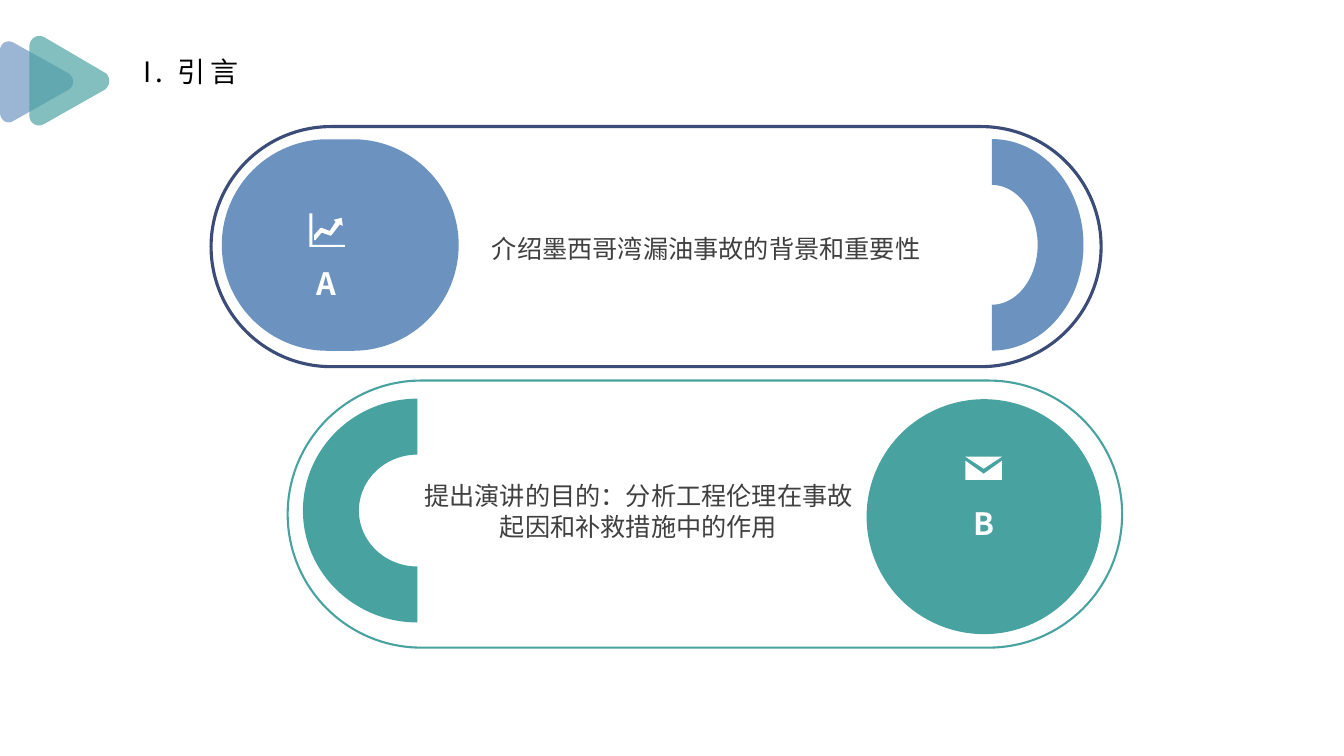
"""Build the introduction slide with two facing capsule panels."""
import pptx
import pptx.dml.color
import pptx.enum.shapes
import pptx.enum.text
import pptx.oxml
import pptx.oxml.ns
import pptx.util

Cm = pptx.util.Cm
Pt = pptx.util.Pt
RGBColor = pptx.dml.color.RGBColor
MSO_SHAPE = pptx.enum.shapes.MSO_SHAPE
PP_ALIGN = pptx.enum.text.PP_ALIGN

BLUE = RGBColor(0x6C, 0x92, 0xC0)
NAVY = RGBColor(0x3C, 0x4C, 0x79)
TEAL = RGBColor(0x48, 0xA2, 0xA0)
WHITE = RGBColor(0xFF, 0xFF, 0xFF)
GREY = RGBColor(0x40, 0x40, 0x40)
BLACK = RGBColor(0, 0, 0)

BACK_TRIANGLE = [(1.73, 1.85), (0.33, 1.07), (0.18, 0.99, 0, 1.09, 0, 1.27), (0, 2.84),
                 (0, 3.02, 0.18, 3.15, 0.33, 3.05), (1.73, 2.26),
                 (1.88, 2.16, 1.88, 1.96, 1.73, 1.85)]
FRONT_TRIANGLE = [(2.64, 1.83), (1.12, 0.94), (0.94, 0.84, 0.74, 0.97, 0.74, 1.17), (0.74, 2.92),
                  (0.74, 3.1, 0.94, 3.23, 1.12, 3.12), (2.64, 2.26),
                  (2.79, 2.16, 2.79, 1.91, 2.64, 1.83)]
CHART_ARROW = [(8.61, 5.49), (8.64, 5.69), (8.56, 5.66), (8.36, 5.92), (8.33, 5.94), (8.13, 5.87),
               (8.1, 5.87), (7.95, 6.05), (7.92, 6.05), (7.92, 5.92), (8.08, 5.74), (8.1, 5.74),
               (8.31, 5.82), (8.33, 5.79), (8.46, 5.59), (8.41, 5.54)]
CHART_AXES = [(7.8, 5.38), (7.87, 5.38), (7.87, 6.17), (8.69, 6.17), (8.69, 6.22), (7.8, 6.22)]
ENVELOPE_BODY = [(25.25, 11.61), (25.25, 12.09), (24.33, 12.09), (24.33, 11.61), (24.79, 11.94)]
ENVELOPE_FLAP = [(24.33, 11.51), (25.25, 11.51), (24.79, 11.81)]


def flatten(outline):
    """Turn points and cubic curves given in centimetres into a list of points."""
    points = []
    for part in outline:
        if len(part) == 2:
            points.append((Cm(part[0]), Cm(part[1])))
            continue
        x0, y0 = points[-1]
        x1, y1, x2, y2, x3, y3 = (Cm(v) for v in part)
        for t in (i / 8 for i in range(1, 9)):
            u = 1 - t
            a, b, c, d = u ** 3, 3 * u * u * t, 3 * u * t * t, t ** 3
            points.append((round(a * x0 + b * x1 + c * x2 + d * x3),
                           round(a * y0 + b * y1 + c * y2 + d * y3)))
    return points


class SlideBuilder:
    """Hold the style and the current slide."""

    font = "Noto Sans CJK SC"

    def __init__(self, slide):
        """Keep the slide to draw on."""
        self.slide = slide

    def paint(self, sp, fill=None, line=None, weight=0):
        """Set the fill and the outline of a shape and drop its shadow."""
        sp.shadow.inherit = False
        if fill is None:
            sp.fill.background()
        else:
            sp.fill.solid()
            sp.fill.fore_color.rgb = fill
        if line is None:
            sp.line.fill.background()
        else:
            sp.line.color.rgb = line
            sp.line.width = Pt(weight)

    def shape(self, kind, left, top, width, height, rotation=0, **style):
        """Add a preset shape."""
        sp = self.slide.shapes.add_shape(kind, Cm(left), Cm(top), Cm(width), Cm(height))
        sp.rotation = rotation
        self.paint(sp, **style)
        return sp

    def capsule(self, left, top, width, height, **style):
        """Add a fully rounded rectangle."""
        sp = self.shape(MSO_SHAPE.ROUNDED_RECTANGLE, left, top, width, height, **style)
        sp.adjustments[0] = 0.5

    def freeform(self, outlines, fill, alpha=None):
        """Add a filled outline, see-through when alpha is given in percent."""
        first, *others = [flatten(outline) for outline in outlines]
        builder = self.slide.shapes.build_freeform(*first[0], scale=1.0)
        builder.add_line_segments(first[1:], close=True)
        for points in others:
            builder.move_to(*points[0])
            builder.add_line_segments(points[1:], close=True)
        sp = builder.convert_to_shape()
        self.paint(sp, fill)
        if alpha is not None:
            colour = sp._element.spPr.find(".//" + pptx.oxml.ns.qn("a:srgbClr"))
            colour.append(pptx.oxml.parse_xml(
                f'<a:alpha {pptx.oxml.ns.nsdecls("a")} val="{alpha * 1000}"/>'))

    def run(self, p, text, size, colour, bold=False):
        """Add a formatted run to a paragraph."""
        r = p.add_run()
        r.text = text
        r.font.name = self.font
        r.font.size = Pt(size)
        r.font.bold = bold
        r.font.color.rgb = colour
        latin = r._r.get_or_add_rPr().find(pptx.oxml.ns.qn("a:latin"))
        latin.addnext(pptx.oxml.parse_xml(
            f'<a:ea {pptx.oxml.ns.nsdecls("a")} typeface="{self.font}"/>'))
        return r

    def title(self, text, left, top, width, height):
        """Fill and place the title placeholder."""
        sp = self.slide.shapes.title
        sp.left, sp.top, sp.width, sp.height = Cm(left), Cm(top), Cm(width), Cm(height)
        tf = sp.text_frame
        tf.word_wrap = False
        tf.auto_size = pptx.enum.text.MSO_AUTO_SIZE.SHAPE_TO_FIT_TEXT
        tf.vertical_anchor = pptx.enum.text.MSO_ANCHOR.TOP
        p = tf.paragraphs[0]
        p.alignment = PP_ALIGN.LEFT
        r = self.run(p, text, 20, BLACK)
        r._r.get_or_add_rPr().set("spc", "300")

    def text(self, text, left, top, width, height, size, colour, bold=False, spacing=None):
        """Add a centred text box without margins."""
        tf = self.slide.shapes.add_textbox(Cm(left), Cm(top), Cm(width), Cm(height)).text_frame
        tf.word_wrap = True
        tf.auto_size = pptx.enum.text.MSO_AUTO_SIZE.SHAPE_TO_FIT_TEXT
        tf.margin_left = tf.margin_top = tf.margin_right = tf.margin_bottom = 0
        p = tf.paragraphs[0]
        p.alignment = PP_ALIGN.CENTER
        if spacing:
            p.line_spacing = Pt(spacing)
        self.run(p, text, size, colour, bold)


def main():
    """Build and save the slide."""
    prs = pptx.Presentation()
    prs.slide_width, prs.slide_height = Cm(33.87), Cm(19.05)
    s = SlideBuilder(prs.slides.add_slide(prs.slide_layouts[5]))

    s.title("I. 引言", 3.35, 1.24, 3.5, 1.12)
    s.freeform([BACK_TRIANGLE], BLUE, alpha=68)
    s.freeform([FRONT_TRIANGLE], TEAL, alpha=68)

    s.capsule(5.32, 3.19, 22.43, 6.05, line=NAVY, weight=2.25)
    s.capsule(5.59, 3.51, 5.97, 5.33, fill=BLUE)
    s.shape(MSO_SHAPE.BLOCK_ARC, 22.33, 3.86, 5.33, 4.62, rotation=90, fill=BLUE)
    s.freeform([CHART_ARROW, CHART_AXES], WHITE)
    s.text("介绍墨西哥湾漏油事故的背景和重要性", 11.56, 5.87, 12.47, 0.79, 18, GREY, spacing=22)
    s.text("A", 6.53, 6.68, 3.4, 0.94, 22, WHITE, bold=True)

    s.capsule(7.25, 9.59, 21.03, 6.73, line=TEAL, weight=1.5)
    s.capsule(21.84, 10.06, 5.92, 5.92, fill=TEAL)
    s.shape(MSO_SHAPE.BLOCK_ARC, 7.7, 9.98, 5.64, 5.77, rotation=270, fill=TEAL)
    s.freeform([ENVELOPE_BODY, ENVELOPE_FLAP], WHITE)
    s.text("提出演讲的目的：分析工程伦理在事故起因和补救措施中的作用",
           10.69, 12.09, 10.8, 1.57, 18, GREY, spacing=22)
    s.text("B", 23.09, 12.73, 3.4, 0.94, 22, WHITE, bold=True)

    prs.save("out.pptx")


if __name__ == "__main__":
    main()
